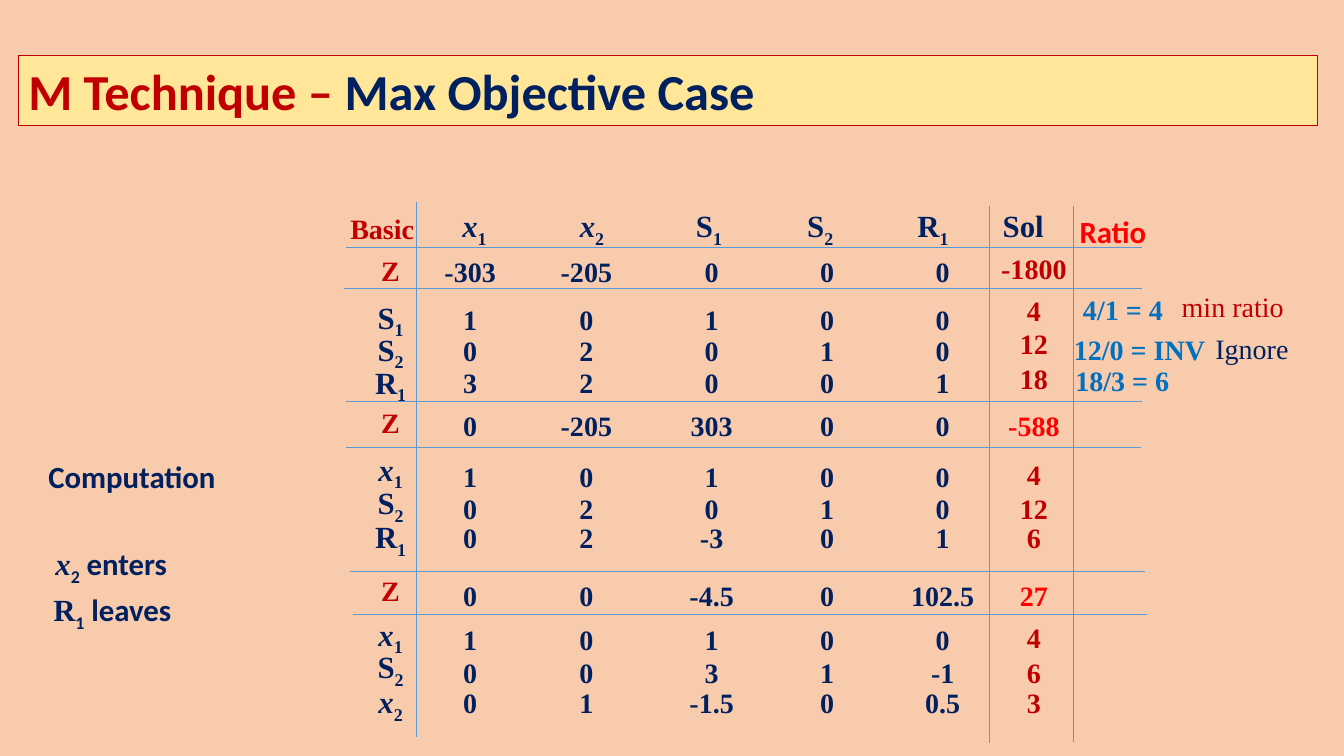
from dataclasses import dataclass

from lxml import etree
from pptx import Presentation
from pptx import util as u
from pptx.dml.color import RGBColor
from pptx.enum import shapes, text
from pptx.oxml import ns


@dataclass(frozen=True)
class Theme:
    peach: str = "F8CBAD"
    yellow: str = "FFE699"
    navy: str = "002060"
    crimson: str = "C00000"
    red: str = "FF0000"
    blue: str = "0070C0"
    rule: str = "5B9BD5"
    serif: str = "Times New Roman"
    sans: str = "Calibri"
    title_size: float = 36
    symbol_size: float = 22
    value_size: float = 20


THEME = Theme()


@dataclass(frozen=True)
class Row:
    basic: str
    basic_mid: float
    cells: str
    cells_mid: float
    solution: str
    solution_mid: float
    color: str = THEME.crimson


@dataclass(frozen=True)
class Note:
    words: str
    left: float
    mid: float
    color: str
    size: float = THEME.value_size
    font: str = THEME.serif
    bold: bool = True


@dataclass(frozen=True)
class Rule:
    x1: float
    y1: float
    x2: float
    y2: float


INSET = 7.2
BOX_HEIGHT = 30
CELLS_LEFT = 300
BASIC_CENTER = 279
SOLUTION_CENTER = 738.5
CELL_CENTERS = (336, 419, 508.5, 591, 673.5)
HEADER_CENTERS = (339, 423, 506.5, 586, 666.5, 731)

ROWS = (
    Row("Z", 194.5, "-303 -205 0 0 0", 195.5, "-1800", 193.5),
    Row("S1", 227, "1 0 1 0 0", 229.5, "4", 223.5),
    Row("S2", 250, "0 2 0 1 0", 251.5, "12", 246.5),
    Row("R1", 273.5, "3 2 0 0 1", 274.5, "18", 272),
    Row("Z", 303.5, "0 -205 303 0 0", 305.5, "-588", 305.5, THEME.red),
    Row("x1", 335.5, "1 0 1 0 0", 341.5, "4", 340),
    Row("S2", 359.5, "0 2 0 1 0", 364.5, "12", 364.5),
    Row("R1", 384, "0 2 -3 0 1", 385.5, "6", 385.5),
    Row("Z", 423, "0 0 -4.5 0 102.5", 426.5, "27", 426.5, THEME.red),
    Row("x1", 453.5, "1 0 1 0 0", 458.5, "4", 457),
    Row("S2", 476.5, "0 0 3 1 -1", 481.5, "6", 481.5),
    Row("x2", 501.5, "0 1 -1.5 0 0.5", 503, "3", 503),
)

NOTES = (
    Note("Ratio", 764, 166.5, THEME.red, THEME.symbol_size, THEME.sans),
    Note("4/1 = 4", 766.5, 222.5, THEME.blue),
    Note("12/0 = INV", 760, 251, THEME.blue),
    Note("18/3 = 6", 761, 273.5, THEME.blue),
    Note("min ratio", 837, 220.5, THEME.crimson, bold=False),
    Note("Ignore", 861, 250, THEME.navy, bold=False),
    Note("Computation", 27.5, 342, THEME.navy, THEME.symbol_size, THEME.sans),
    Note("x2 enters", 32.5, 403, THEME.navy, THEME.symbol_size, THEME.sans),
    Note("R1 leaves", 31, 436, THEME.navy, THEME.symbol_size, THEME.sans),
)

RULES = (
    Rule(247, 176.5, 816, 176.5),
    Rule(245.5, 206, 816, 206),
    Rule(247.5, 286.5, 816, 286.5),
    Rule(247.5, 319.5, 815, 319.5),
    Rule(250, 408, 818, 408),
    Rule(252, 438.5, 819.5, 438.5),
    Rule(297.5, 144, 297.5, 526.5),
    Rule(707, 147.5, 707, 530.5),
    Rule(766.5, 147, 766.5, 530),
)


def add_span(para, words: str, *, color: str, size: float, font: str = THEME.serif,
             bold: bool = True, italic: bool = False, lowered: bool = False) -> None:
    span = para.add_run()
    span.text = words
    span.font.name = font
    span.font.size = u.Pt(size)
    span.font.bold = bold
    span.font.italic = italic
    span.font.color.rgb = RGBColor.from_string(color)
    if lowered:
        span.font._element.set("baseline", "-25000")


def add_words(para, words: str, *, color: str, size: float, font: str = THEME.serif,
              bold: bool = True) -> None:
    look = dict(color=color, size=size, bold=bold)
    if words[0] in "xSR" and words[1].isdigit():
        add_span(para, words[0], italic=words[0] == "x", **look)
        add_span(para, words[1], font=font, lowered=True, **look)
        words = words[2:]
    if words:
        add_span(para, words, font=font, **look)


def add_para(slide, left: float, mid: float, width: float, *, centered: bool = False):
    box = slide.shapes.add_textbox(u.Pt(left), u.Pt(mid - BOX_HEIGHT / 2),
                                   u.Pt(width), u.Pt(BOX_HEIGHT))
    frame = box.text_frame
    frame.word_wrap = True
    frame.vertical_anchor = text.MSO_ANCHOR.MIDDLE
    para = frame.paragraphs[0]
    para.line_spacing = 0.9
    para.alignment = text.PP_ALIGN.CENTER if centered else text.PP_ALIGN.LEFT
    return para


def add_centered(slide, words: str, center: float, mid: float, *, color: str,
                 size: float = THEME.value_size, width: float = 76) -> None:
    para = add_para(slide, center - width / 2, mid, width, centered=True)
    add_words(para, words, color=color, size=size)


def add_cells(slide, cells: list[str], centers: tuple, mid: float, *, size: float) -> None:
    para = add_para(slide, CELLS_LEFT, mid, centers[-1] - CELLS_LEFT + 45)
    tabs = etree.SubElement(para._p.get_or_add_pPr(), ns.qn("a:tabLst"))
    for cell, center in zip(cells, centers):
        stop = u.Pt(center - CELLS_LEFT - INSET)
        etree.SubElement(tabs, ns.qn("a:tab"), pos=str(int(stop)), algn="ctr")
        add_span(para, "\t", color=THEME.navy, size=size)
        add_words(para, cell, color=THEME.navy, size=size)


def add_rule(slide, rule: Rule) -> None:
    line = slide.shapes.add_connector(shapes.MSO_CONNECTOR.STRAIGHT, u.Pt(rule.x1),
                                      u.Pt(rule.y1), u.Pt(rule.x2), u.Pt(rule.y2))
    line.line.color.rgb = RGBColor.from_string(THEME.rule)
    line.line.width = u.Pt(0.5)
    etree.SubElement(line._element.spPr, ns.qn("a:effectLst"))


def format_title(slide) -> None:
    title = slide.shapes.title
    title.left, title.top = u.Pt(13), u.Pt(39.5)
    title.width, title.height = u.Pt(928), u.Pt(50.5)
    title.fill.solid()
    title.fill.fore_color.rgb = RGBColor.from_string(THEME.yellow)
    title.line.color.rgb = RGBColor.from_string(THEME.crimson)
    title.line.width = u.Pt(0.75)
    title.text_frame.vertical_anchor = text.MSO_ANCHOR.BOTTOM
    title.text_frame.auto_size = text.MSO_AUTO_SIZE.NONE
    para = title.text_frame.paragraphs[0]
    para.alignment = text.PP_ALIGN.LEFT
    para.line_spacing = 0.9
    for words, color in (("M Technique – ", THEME.crimson), ("Max Objective Case", THEME.navy)):
        add_span(para, words, color=color, size=THEME.title_size, font=THEME.sans)


def main() -> None:
    deck = Presentation()
    deck.slide_width, deck.slide_height = u.Pt(960), u.Pt(540)
    slide = deck.slides.add_slide(deck.slide_layouts[5])
    slide.background.fill.solid()
    slide.background.fill.fore_color.rgb = RGBColor.from_string(THEME.peach)
    format_title(slide)
    for rule in RULES:
        add_rule(slide, rule)
    add_centered(slide, "Basic", 273, 164.5, color=THEME.crimson)
    add_cells(slide, ["x1", "x2", "S1", "S2", "R1", "Sol"], HEADER_CENTERS, 161.5,
              size=THEME.symbol_size)
    for row in ROWS:
        is_objective = row.basic == "Z"
        add_centered(slide, row.basic, BASIC_CENTER, row.basic_mid,
                     color=THEME.crimson if is_objective else THEME.navy,
                     size=THEME.value_size if is_objective else THEME.symbol_size)
        add_cells(slide, row.cells.split(), CELL_CENTERS, row.cells_mid, size=THEME.value_size)
        add_centered(slide, row.solution, SOLUTION_CENTER, row.solution_mid, color=row.color)
    for note in NOTES:
        para = add_para(slide, note.left, note.mid, 120 if note.left > 700 else 177)
        add_words(para, note.words, color=note.color, size=note.size, font=note.font,
                  bold=note.bold)


    deck.save("out.pptx")


if __name__ == "__main__":
    main()
